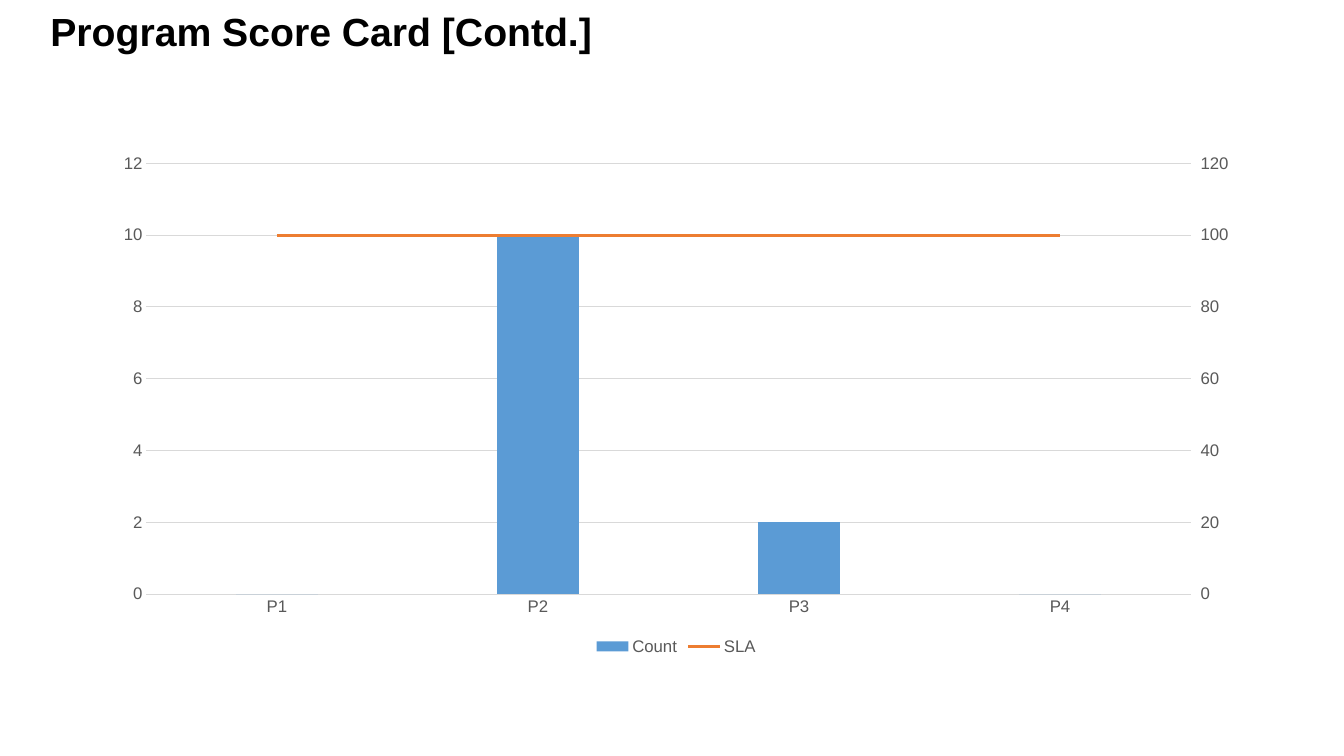
from copy import deepcopy

from lxml import etree
from pptx import Presentation
from pptx.chart.data import CategoryChartData
from pptx.dml.color import RGBColor
from pptx.enum import chart as kinds, text
from pptx.oxml.ns import qn
from pptx.oxml.xmlchemy import OxmlElement
from pptx.util import Pt

FONT = "Arial"
BLACK = RGBColor(0x00, 0x00, 0x00)
GREY = RGBColor(0x59, 0x59, 0x59)
GRID = RGBColor(0xD9, 0xD9, 0xD9)
BLUE = RGBColor(0x5B, 0x9B, 0xD5)
ORANGE = RGBColor(0xED, 0x7D, 0x31)

SLA_CATEGORY_ID, SLA_VALUE_ID = "50010", "50020"


def style_font(font, size, color, bold=False):
    font.name, font.size, font.bold = FONT, Pt(size), bold
    font.color.rgb = color


def style_line(line, color, width):
    line.color.rgb = color
    line.width = Pt(width)


def add_title(slide, wording):
    title = slide.shapes.title
    title.left, title.top, title.width, title.height = Pt(28.8), Pt(1.5), Pt(695), Pt(41)
    frame = title.text_frame
    frame.text = wording
    frame.word_wrap = True
    frame.auto_size = text.MSO_AUTO_SIZE.NONE
    frame.vertical_anchor = text.MSO_ANCHOR.TOP
    heading = frame.paragraphs[0]
    heading.alignment = text.PP_ALIGN.LEFT
    style_font(heading.runs[0].font, 28, BLACK, bold=True)


def style_axes(chart):
    for axis in (chart.category_axis, chart.value_axis):
        axis.major_tick_mark = axis.minor_tick_mark = kinds.XL_TICK_MARK.NONE
        style_font(axis.tick_labels.font, 12, GREY)
    style_line(chart.category_axis.format.line, GRID, 0.75)
    counts = chart.value_axis
    counts.format.line.fill.background()
    counts.has_major_gridlines = True
    style_line(counts.major_gridlines.format.line, GRID, 0.75)


def copy_axis(axis, own_id, cross_id):
    """Return a copy of an axis element that pairs with another axis."""
    twin = deepcopy(axis)
    twin.find(qn("c:axId")).set("val", own_id)
    twin.find(qn("c:crossAx")).set("val", cross_id)
    return twin


def move_to_right_axis(chart, series):
    """Turn a column series into a line read on a second value axis."""
    columns = chart.plots[0]._element
    line_chart = OxmlElement("c:lineChart")
    etree.SubElement(line_chart, qn("c:grouping")).set("val", "standard")
    etree.SubElement(line_chart, qn("c:varyColors")).set("val", "0")
    line = series._element
    for bar_only in line.findall(qn("c:invertIfNegative")):
        line.remove(bar_only)
    line_chart.append(line)
    etree.SubElement(line_chart, qn("c:marker")).set("val", "1")
    for axis_id in (SLA_CATEGORY_ID, SLA_VALUE_ID):
        etree.SubElement(line_chart, qn("c:axId")).set("val", axis_id)
    columns.addnext(line_chart)

    # Right value axis and its hidden category axis
    left = chart.value_axis._element
    right = copy_axis(left, SLA_VALUE_ID, SLA_CATEGORY_ID)
    for grid in right.findall(qn("c:majorGridlines")):
        right.remove(grid)
    for tag, value in (("axPos", "r"), ("majorTickMark", "out"), ("crosses", "max")):
        right.find(qn("c:" + tag)).set("val", value)
    hidden = copy_axis(chart.category_axis._element, SLA_CATEGORY_ID, SLA_VALUE_ID)
    hidden.find(qn("c:delete")).set("val", "1")
    left.addnext(right)
    right.addnext(hidden)


def add_score_chart(slide):
    scores = CategoryChartData()
    scores.categories = ["P1", "P2", "P3", "P4"]
    scores.add_series("Count", (0, 10, 2, 0))
    scores.add_series("SLA", (100, 100, 100, 100))
    chart = slide.shapes.add_chart(
        kinds.XL_CHART_TYPE.COLUMN_CLUSTERED,
        Pt(72), Pt(103), Pt(822), Pt(368), scores).chart
    chart.has_title = False
    style_font(chart.font, 10, BLACK)
    style_axes(chart)

    # Columns on the left axis, line on the right one
    columns = chart.plots[0]
    columns.gap_width = 219
    columns.vary_by_categories = False
    count, sla = columns.series
    count.format.fill.solid()
    count.format.fill.fore_color.rgb = BLUE
    move_to_right_axis(chart, sla)
    target = chart.plots[1].series[0]
    style_line(target.format.line, ORANGE, 2.25)
    target.marker.style = kinds.XL_MARKER_STYLE.NONE
    target.smooth = False

    # Legend
    chart.has_legend = True
    chart.legend.position = kinds.XL_LEGEND_POSITION.BOTTOM
    chart.legend.include_in_layout = False
    style_font(chart.legend.font, 12, GREY)


def main():
    deck = Presentation()
    deck.slide_width, deck.slide_height = Pt(960), Pt(540)
    slide = deck.slides.add_slide(deck.slide_layouts[5])
    add_title(slide, "Program Score Card [Contd.]")
    add_score_chart(slide)
    deck.save("out.pptx")


if __name__ == "__main__":
    main()
